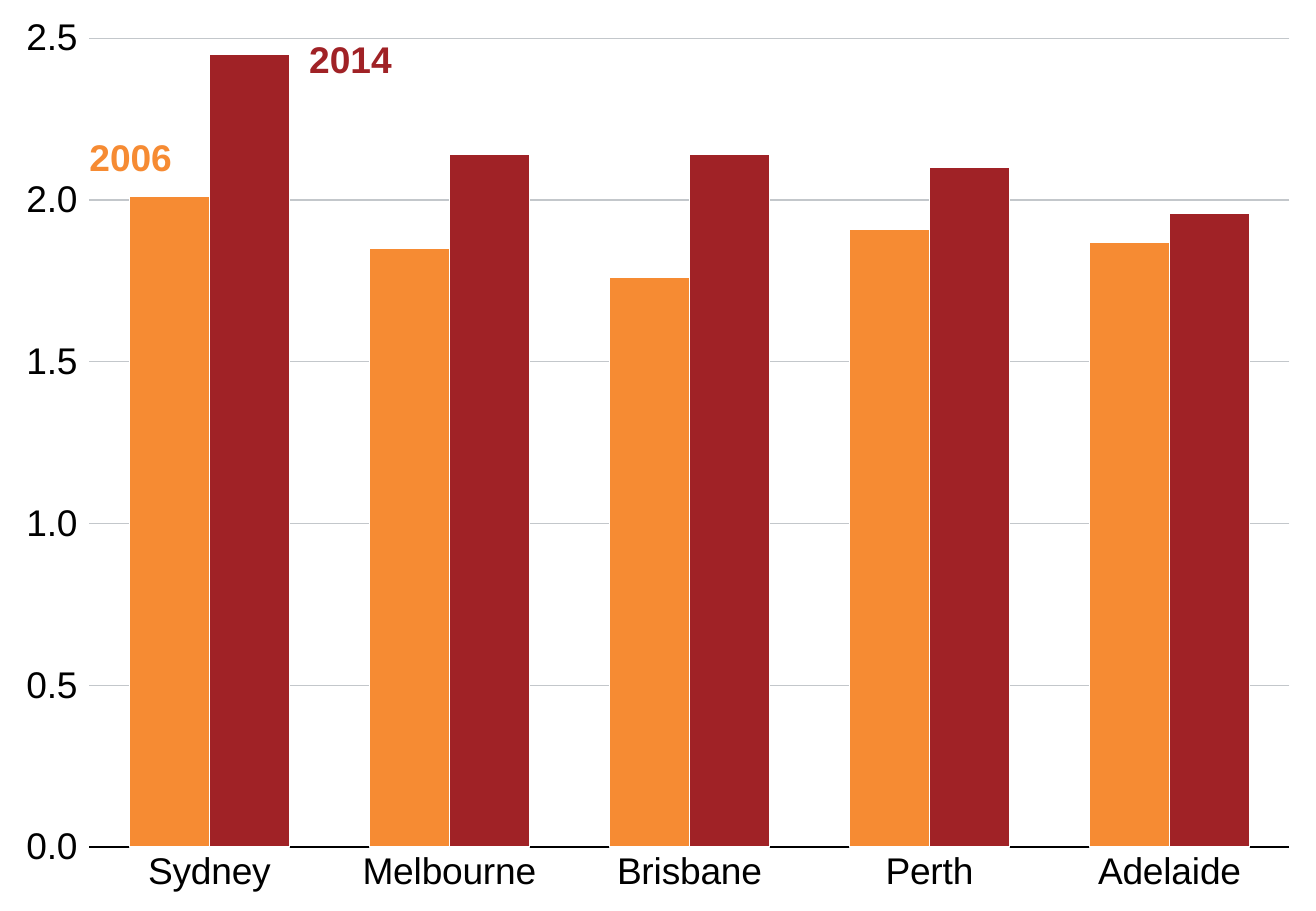
"""Clustered columns comparing five cities in 2006 and 2014."""
import dataclasses

import lxml.etree
import pptx
import pptx.chart.chart
import pptx.chart.data
import pptx.dml.color
import pptx.enum.chart
import pptx.enum.text
import pptx.oxml
import pptx.oxml.ns
import pptx.slide
import pptx.util

WIDTH = pptx.util.Inches(10.83)
HEIGHT = pptx.util.Inches(7.5)
FONT = "Arial"
LABEL_SIZE = pptx.util.Pt(22)
HAIRLINE = pptx.util.Pt(0.75)
BLACK = pptx.dml.color.RGBColor(0x00, 0x00, 0x00)
WHITE = pptx.dml.color.RGBColor(0xFF, 0xFF, 0xFF)
GREY = pptx.dml.color.RGBColor(0xC3, 0xC7, 0xCB)
ORANGE = pptx.dml.color.RGBColor(0xF6, 0x8B, 0x33)
RED = pptx.dml.color.RGBColor(0xA0, 0x22, 0x26)
CITIES = ("Sydney", "Melbourne", "Brisbane", "Perth", "Adelaide")
PLOT_SHARES = {"x": 0.068, "y": 0.042, "w": 0.912, "h": 0.888}


@dataclasses.dataclass(frozen=True)
class YearSeries:
    """One year's columns and its label, placed in shares of the slide."""

    year: str
    values: tuple[float, ...]
    color: pptx.dml.color.RGBColor
    left: float
    top: float
    width: float


YEARS = (
    YearSeries("2006", (2.01, 1.85, 1.76, 1.91, 1.87), ORANGE, 0.068, 0.147, 0.11),
    YearSeries("2014", (2.45, 2.14, 2.14, 2.1, 1.96), RED, 0.235, 0.04, 0.064),
)


def place_plot(chart: pptx.chart.chart.Chart) -> None:
    """Fix the inner plot area to its shares of the chart."""
    plot_area = chart.element.find(".//" + pptx.oxml.ns.qn("c:plotArea"))
    for layout in plot_area.findall(pptx.oxml.ns.qn("c:layout")):
        plot_area.remove(layout)
    layout = pptx.oxml.parse_xml(f"<c:layout {pptx.oxml.ns.nsdecls('c')}><c:manualLayout/></c:layout>")
    settings = {"layoutTarget": "inner", "xMode": "edge", "yMode": "edge", **PLOT_SHARES}
    for name, value in settings.items():
        lxml.etree.SubElement(layout[0], pptx.oxml.ns.qn(f"c:{name}")).set("val", str(value))
    plot_area.insert(0, layout)


def style_axes(chart: pptx.chart.chart.Chart) -> None:
    """Set the scale, gridlines and labels of both axes."""
    cities, scale = chart.category_axis, chart.value_axis
    for axis in (cities, scale):
        axis.tick_labels.font.size = LABEL_SIZE
        axis.minor_tick_mark = pptx.enum.chart.XL_TICK_MARK.NONE
    cities.major_tick_mark = pptx.enum.chart.XL_TICK_MARK.NONE
    cities.format.line.color.rgb = BLACK
    cities.format.line.width = HAIRLINE
    scale.minimum_scale, scale.maximum_scale, scale.major_unit = 0, 2.5, 0.5
    scale.tick_labels.number_format = "0.0"
    scale.tick_labels.number_format_is_linked = False
    scale.format.line.fill.background()
    scale.major_gridlines.format.line.color.rgb = GREY
    scale.major_gridlines.format.line.width = HAIRLINE


def add_columns(page: pptx.slide.Slide) -> None:
    """Draw the column chart over the whole slide."""
    data = pptx.chart.data.CategoryChartData(number_format="0.00")
    data.categories = CITIES
    for item in YEARS:
        data.add_series(item.year, item.values)
    kind = pptx.enum.chart.XL_CHART_TYPE.COLUMN_CLUSTERED
    chart = page.shapes.add_chart(kind, 0, 0, WIDTH, HEIGHT, data).chart
    chart.has_legend = False
    chart.has_title = False
    chart.font.name = FONT
    chart.font.size = pptx.util.Pt(18)
    chart.font.color.rgb = BLACK
    plot = chart.plots[0]
    plot.gap_width, plot.overlap, plot.vary_by_categories = 100, 0, False
    for series, item in zip(plot.series, YEARS):
        series.format.fill.solid()
        series.format.fill.fore_color.rgb = item.color
        series.format.line.color.rgb = WHITE
        series.format.line.width = HAIRLINE
    style_axes(chart)
    place_plot(chart)


def add_year_label(page: pptx.slide.Slide, item: YearSeries) -> None:
    """Write a year in the colour of its columns."""
    box = page.shapes.add_textbox(
        round(item.left * WIDTH), round(item.top * HEIGHT), round(item.width * WIDTH), round(0.05 * HEIGHT)
    )
    frame = box.text_frame
    frame.margin_left = frame.margin_top = frame.margin_right = frame.margin_bottom = 0
    frame.word_wrap = True
    frame.auto_size = pptx.enum.text.MSO_AUTO_SIZE.SHAPE_TO_FIT_TEXT
    para = frame.paragraphs[0]
    para.text = item.year
    para.font.name = FONT
    para.font.size = LABEL_SIZE
    para.font.bold = True
    para.font.color.rgb = item.color


def main() -> None:
    """Build and save the deck."""
    deck = pptx.Presentation()
    deck.slide_width, deck.slide_height = WIDTH, HEIGHT
    page = deck.slides.add_slide(deck.slide_layouts[6])
    add_columns(page)
    for item in YEARS:
        add_year_label(page, item)
    deck.save("out.pptx")


if __name__ == "__main__":
    main()
